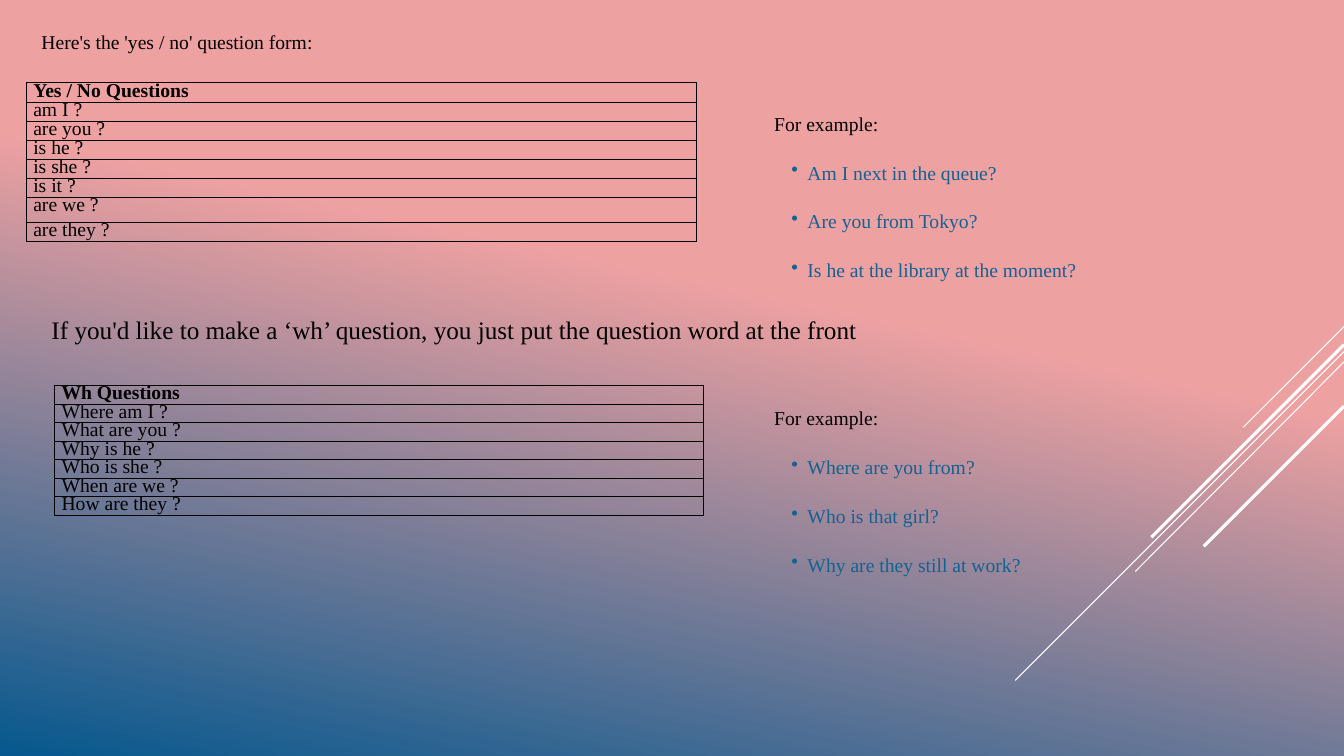
from lxml import etree
from pptx import Presentation
from pptx.dml.color import RGBColor
from pptx.enum.shapes import MSO_CONNECTOR
from pptx.enum.text import MSO_ANCHOR
from pptx.oxml.ns import qn
from pptx.util import Inches, Pt

STRAIGHT = MSO_CONNECTOR.STRAIGHT
TOP = MSO_ANCHOR.TOP
BOTTOM = MSO_ANCHOR.BOTTOM

BLACK = RGBColor(0x00, 0x00, 0x00)
WHITE = RGBColor(0xFF, 0xFF, 0xFF)
PINK = RGBColor(0xEE, 0xA1, 0xA1)
NAVY = RGBColor(0x06, 0x58, 0x8E)
BLUE = RGBColor(0x14, 0x61, 0x94)

FONT = "Times New Roman"
WIDTH, HEIGHT = Inches(13.33), Inches(7.5)

RAYS = [
    (43.2, 92.5, 56.53, 0.75),
    (46.53, 75.54, 90, 0.75),
    (47.87, 84.47, 75.6, 0.75),
    (45.6, 85.67, 71.07, 2.25),
    (53.73, 89.57, 72.27, 2.25),
]
YES_NO = ["Yes / No Questions", "am I ?", "are you ?", "is he ?",
          "is she ?", "is it ?", "are we ?", "are they ?"]
WH = ["Wh Questions", "Where am I ?", "What are you ?", "Why is he ?",
      "Who is she ?", "When are we ?", "How are they ?"]
YES_NO_USES = ["Am I next in the queue?", "Are you from Tokyo?",
               "Is he at the library at the moment?"]
WH_USES = ["Where are you from?", "Who is that girl?",
           "Why are they still at work?"]


def across(share):
    return round(WIDTH * share / 100)


def down(share):
    return round(HEIGHT * share / 100)


def write(para, text, size=14, color=BLACK, bold=False, gap=None,
          line=None, bullet=False):
    if bullet:
        props = para._p.get_or_add_pPr()
        props.set("marL", str(across(2.48)))
        props.set("indent", str(-across(1.2)))
        etree.SubElement(props, qn("a:buChar")).set("char", "•")
    if gap:
        para.space_before = Pt(gap)
    if line:
        para.line_spacing = Pt(line)
    run = para.add_run()
    run.text = text
    font = run.font
    font.name, font.size, font.bold = FONT, Pt(size), bold
    font.color.rgb = color


class Canvas:
    """Draws styled elements on one slide, placed in percent of its size."""

    def __init__(self, deck):
        self.slide = deck.slides.add_slide(deck.slide_layouts[6])
        self.shapes = self.slide.shapes

    def shade(self, angle, *stops):
        fill = self.slide.background.fill
        fill.gradient()
        fill.gradient_angle = angle
        for stop, (place, color) in zip(fill.gradient_stops, stops):
            stop.position = place
            stop.color.rgb = color

    def ray(self, start, left, end, weight):
        line = self.shapes.add_connector(
            STRAIGHT, across(100), down(start), across(left), down(end))
        line.line.color.rgb = WHITE
        line.line.width = Pt(weight)
        etree.SubElement(line._element.spPr, qn("a:effectLst"))

    def frame(self, left, top, width, height, inset=0, anchor=TOP):
        box = self.shapes.add_textbox(
            across(left), down(top), across(width), down(height))
        frame = box.text_frame
        frame.word_wrap = True
        frame.vertical_anchor = anchor
        frame.margin_left = frame.margin_right = across(inset)
        frame.margin_top = frame.margin_bottom = down(inset)
        return frame

    def label(self, text, *place, size=14, inset=0, anchor=TOP):
        frame = self.frame(*place, inset=inset, anchor=anchor)
        write(frame.paragraphs[0], text, size=size)

    def samples(self, items, *place):
        frame = self.frame(*place)
        write(frame.paragraphs[0], "For example:")
        for item in items:
            write(frame.add_paragraph(), item, color=BLUE, gap=18,
                  bullet=True)

    def border(self, cell):
        props = cell._tc.get_or_add_tcPr()
        for side in ("lnL", "lnR", "lnT", "lnB"):
            edge = etree.SubElement(props, qn(f"a:{side}"))
            edge.set("w", str(Pt(0.48)))
            fill = etree.SubElement(edge, qn("a:solidFill"))
            etree.SubElement(fill, qn("a:srgbClr")).set("val", str(BLACK))

    def table(self, items, left, top, width, heights):
        table = self.shapes.add_table(
            len(items), 1, across(left), down(top), across(width),
            down(sum(heights))).table
        table.first_row = table.horz_banding = False
        for index, (item, height) in enumerate(zip(items, heights)):
            table.rows[index].height = down(height)
            cell = table.cell(index, 0)
            cell.margin_left = across(0.53)
            cell.margin_right = cell.margin_top = cell.margin_bottom = 0
            self.border(cell)
            cell.fill.background()
            head = index == 0
            write(cell.text_frame.paragraphs[0], item, bold=head,
                  line=13.4 if head else 13.2)


def main():
    deck = Presentation()
    deck.slide_width, deck.slide_height = WIDTH, HEIGHT
    page = Canvas(deck)
    page.shade(258, (0.4, PINK), (1, NAVY))
    for ray in RAYS:
        page.ray(*ray)
    page.label("Here's the 'yes / no' question form:", 3.08, 4, 24.08, 3.2)
    page.table(YES_NO, 1.95, 10.93, 49.89, [2.54] * 6 + [3.3, 2.54])
    page.samples(YES_NO_USES, 57.6, 14.8, 26.03, 25.07)
    page.table(WH, 4.05, 50.93, 48.31, [2.42] * 7)
    page.samples(WH_USES, 57.6, 53.73, 34.21, 22)
    page.label("If you'd like to make a ‘wh’ question, "
               "you just put the question word at the front",
               3.08, 36.8, 62.87, 9.47, size=18, inset=0.75, anchor=BOTTOM)
    deck.save("out.pptx")


if __name__ == "__main__":
    main()
